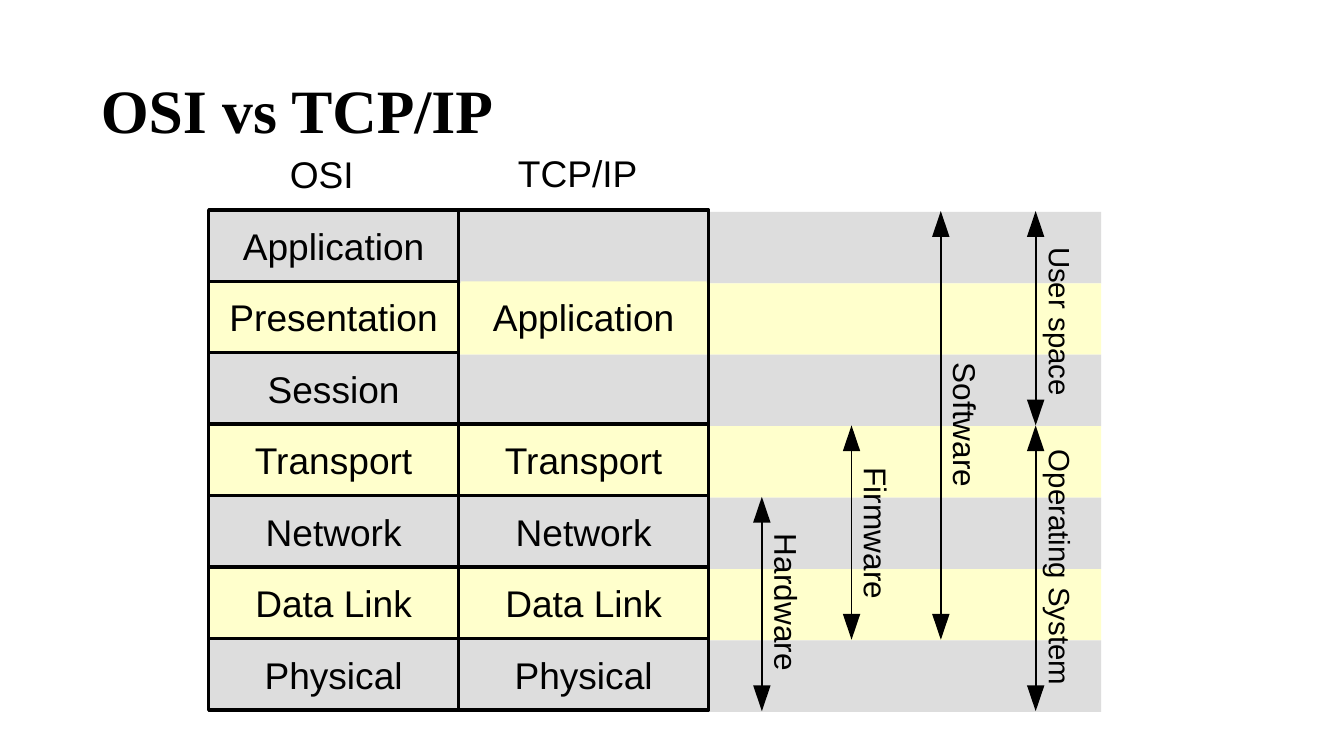
import dataclasses
import pptx
import pptx.dml.color
import pptx.enum.shapes
import pptx.enum.text
import pptx.oxml
import pptx.oxml.ns
import pptx.util

Cm = pptx.util.Cm
Pt = pptx.util.Pt
Kind = pptx.enum.shapes.MSO_SHAPE
Anchor = pptx.enum.text.MSO_ANCHOR
Align = pptx.enum.text.PP_ALIGN


@dataclasses.dataclass(frozen=True)
class Theme:
    ink: str = "000000"
    gray: str = "DDDDDD"
    cream: str = "FFFFCC"
    serif: str = "Times New Roman"
    sans: str = "Arial"
    title: float = 44
    label: float = 26.5
    range: float = 22.5
    space: float = 21
    frame: float = 2.37
    shaft: float = 1.3

    def band(self, row):
        return self.cream if row % 2 else self.gray


class Board:
    def __init__(self, slide, theme):
        self.slide = slide
        self.theme = theme

    def color(self, code):
        return pptx.dml.color.RGBColor.from_string(code)

    def text(self, frame, words, size, font=None, bold=False,
             align=Align.CENTER, anchor=Anchor.MIDDLE):
        frame.margin_left = frame.margin_right = 0
        frame.margin_top = frame.margin_bottom = 0
        frame.word_wrap = True
        frame.auto_size = pptx.enum.text.MSO_AUTO_SIZE.NONE
        frame.vertical_anchor = anchor
        para = frame.paragraphs[0]
        para.alignment = align
        run = para.add_run()
        run.text = words
        run.font.name = font or self.theme.sans
        run.font.size = Pt(size)
        run.font.bold = bold
        run.font.color.rgb = self.color(self.theme.ink)

    def title(self, words, x, y, w, h):
        hold = self.slide.shapes.title
        hold.left, hold.top, hold.width, hold.height = Cm(x), Cm(y), Cm(w), Cm(h)
        self.text(hold.text_frame, words, self.theme.title, self.theme.serif,
                  True, Align.LEFT, Anchor.BOTTOM)

    def box(self, x, y, w, h, fill=None, line=False, words="",
            kind=Kind.RECTANGLE, home=None):
        shapes = (home or self.slide).shapes
        shape = shapes.add_shape(kind, Cm(x), Cm(y), Cm(w), Cm(h))
        shape.shadow.inherit = False
        if fill:
            shape.fill.solid()
            shape.fill.fore_color.rgb = self.color(fill)
        else:
            shape.fill.background()
        if line:
            shape.line.color.rgb = self.color(self.theme.ink)
            shape.line.width = Pt(self.theme.frame)
        else:
            shape.line.fill.background()
        if words:
            self.text(shape.text_frame, words, self.theme.label)
        return shape

    def label(self, words, x, y, w, h, size, turned=False):
        note = self.slide.shapes.add_textbox(Cm(x), Cm(y), Cm(w), Cm(h))
        self.text(note.text_frame, words, size)
        if turned:
            note.text_frame.word_wrap = False
            body = note._element.txBody.find(pptx.oxml.ns.qn("a:bodyPr"))
            body.set("vert", "vert")

    def arrow(self, x, top, end):
        wide, long = 0.44, 0.65
        group = self.slide.shapes.add_group_shape()
        shaft = group.shapes.add_connector(
            pptx.enum.shapes.MSO_CONNECTOR.STRAIGHT,
            Cm(x), Cm(top + 0.6), Cm(x), Cm(end - 0.6))
        shaft.line.color.rgb = self.color(self.theme.ink)
        shaft.line.width = Pt(self.theme.shaft)
        shaft._element.spPr.append(
            pptx.oxml.parse_xml(
                f"<a:effectLst {pptx.oxml.ns.nsdecls('a')}/>"))
        for y, turn in ((top, 0), (end - long, 180)):
            head = self.box(x - wide / 2, y, wide, long, self.theme.ink,
                            kind=Kind.ISOSCELES_TRIANGLE, home=group)
            head.rotation = turn


def main():
    deck = pptx.Presentation()
    deck.slide_width, deck.slide_height = Cm(33.87), Cm(19.05)
    theme = Theme()
    board = Board(deck.slides.add_slide(deck.slide_layouts[5]), theme)
    board.title("OSI vs TCP/IP", 2.54, 1.75, 12, 1.93)

    # Layer grid
    left, top, wide, row = 5.26, 5.29, 6.3, 1.8
    right = left + wide
    layers = ["Application", "Presentation", "Session", "Transport",
              "Network", "Data Link", "Physical"]
    upper = 3

    # Background bands
    for i in range(len(layers)):
        board.box(5.28, top + 0.05 + i * row, 22.47, row, theme.band(i))

    # OSI layers, and the TCP/IP layers that match them
    for i, name in enumerate(layers):
        board.box(left, top + i * row, wide, row, theme.band(i), True, name)
    board.box(right, top, wide, upper * row, line=True)
    board.box(right + 0.05, top + row, wide - 0.1, row, theme.cream,
              words="Application")
    for i, name in enumerate(layers[upper:], upper):
        board.box(right, top + i * row, wide, row, theme.band(i), True, name)

    # Column headings
    board.label("OSI", left, 3.78, 5.7, 1.2, theme.label)
    board.label("TCP/IP", right, 3.76, 6.0, 1.2, theme.label)

    # Ranges: name, arrow x, first and last row edge, text middle, size
    ranges = [
        ("Hardware", 19.2, 4, 7, 15.18, theme.range),
        ("Firmware", 21.46, 3, 6, 13.44, theme.range),
        ("Software", 23.71, 0, 6, 10.71, theme.range),
        ("Operating System", 26.1, 3, 7, 14.3, theme.space),
        ("User space", 26.1, 0, 3, 8.1, theme.space),
    ]
    for name, x, first, last, mid, size in ranges:
        board.arrow(x, top + first * row + 0.03, top + last * row + 0.03)
        board.label(name, x + 0.15, mid - 3, 0.96, 6, size, True)

    deck.save("out.pptx")


if __name__ == "__main__":
    main()
